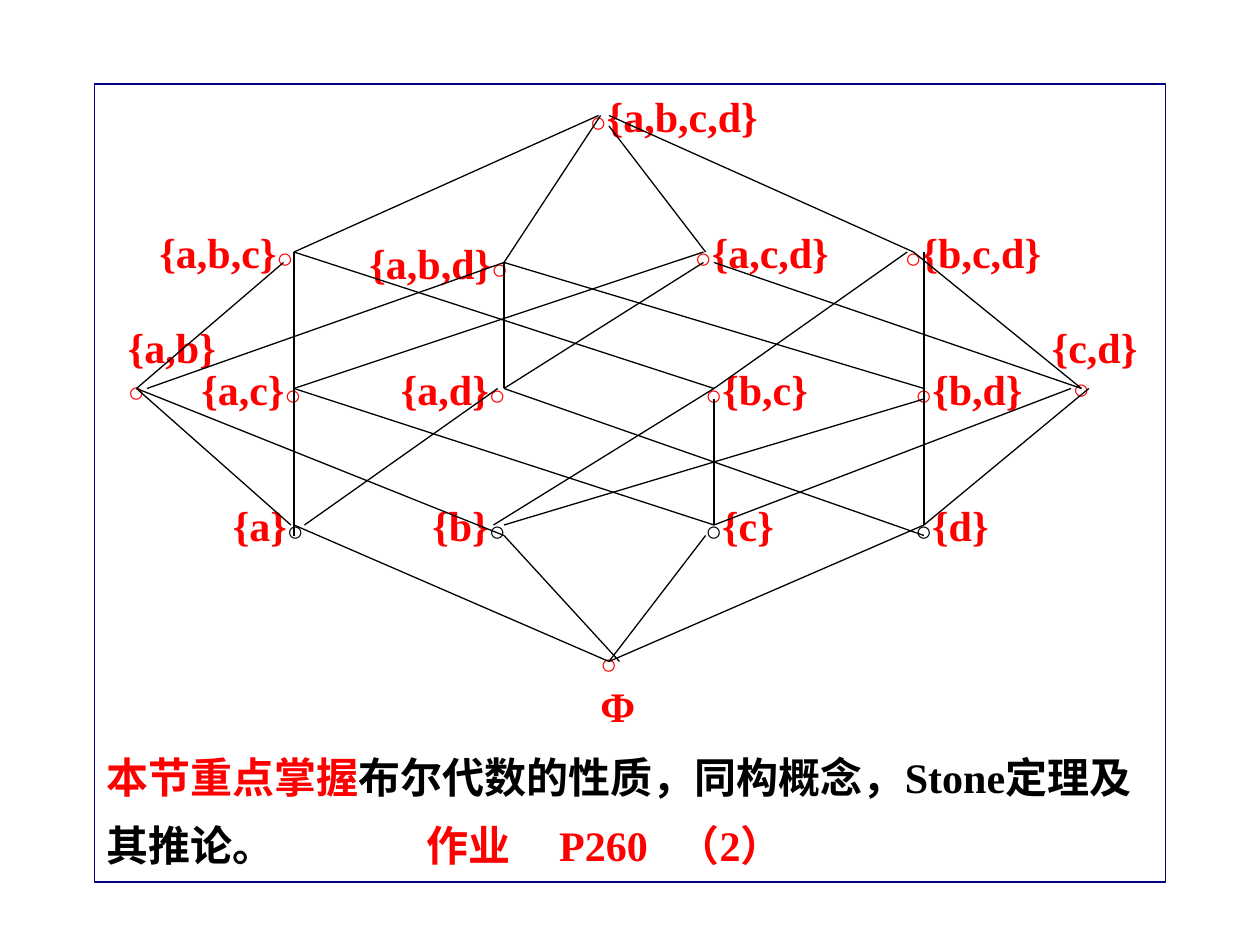
from dataclasses import dataclass

from lxml.etree import SubElement
from pptx import Presentation
from pptx.dml.color import RGBColor as RGB
from pptx.enum.shapes import MSO_CONNECTOR as Connector, MSO_SHAPE as Shape
from pptx.enum.text import MSO_ANCHOR as Anchor, MSO_AUTO_SIZE as AutoSize, PP_ALIGN as Align
from pptx.oxml.ns import qn
from pptx.util import Inches, Pt


@dataclass(frozen=True)
class Theme:
    red: RGB = RGB(255, 0, 0)
    black: RGB = RGB(0, 0, 0)
    navy: RGB = RGB(0, 0, 128)
    serif: str = "Times New Roman"
    sans: str = "Arial"
    text_size: int = 24
    ring_size: int = 16
    stroke: float = 0.75


THEME = Theme()
CELL = Inches(10) / 120
RING = "○"

BEFORE, AFTER = "ring before", "ring after"
SUBSETS = [
    ("{a,b,c,d}", 55, 8, 20.3, BEFORE, THEME.red),
    ("{a,b,c}", 14, 21, 16.7, AFTER, THEME.red),
    ("{a,b,d}", 34, 22, 16.7, AFTER, THEME.red),
    ("{a,c,d}", 65, 21, 16.7, BEFORE, THEME.red),
    ("{b,c,d}", 85, 21, 18, BEFORE, THEME.red),
    ("{a,c}", 18, 34, 17, AFTER, THEME.red),
    ("{a,d}", 37, 34, 23, AFTER, THEME.red),
    ("{b,c}", 66, 34, 15, BEFORE, THEME.red),
    ("{b,d}", 86, 34, 14.8, BEFORE, THEME.red),
    ("{a}", 21, 47, 12, AFTER, THEME.black),
    ("{b}", 40, 47, 11, AFTER, THEME.black),
    ("{c}", 66, 47, 11, BEFORE, THEME.black),
    ("{d}", 86, 47, 12, BEFORE, THEME.black),
    ("Φ", 56, 61, 6.5, BEFORE, THEME.red),
]
OUTER_PAIRS = [
    ("{a,b}", 11, 30, 13.8, 0, 0.5),
    ("{c,d}", 99, 30, 12, 2, 0.4),
]

TOP_TO_TRIPLES = [
    (57, 11, 28, 24), (57.2, 11, 48, 25), (58, 12, 67.2, 24), (58, 11, 87, 24),
]
TRIPLES_TO_PAIRS = [
    (27, 25, 13, 37), (28, 24, 68, 37),
    (48, 25, 14, 37), (48, 25, 48, 37), (48, 25, 88, 37),
    (67, 24, 28, 37), (67, 25, 48, 37), (68, 25, 103, 37),
    (86.4, 24, 68, 37), (87, 24, 103, 37),
]
THROUGH_PAIRS = [(28, 24, 28, 51), (88, 24, 88, 50)]
PAIRS_TO_SINGLES = [
    (13, 37, 27.7, 50), (13, 37, 48, 51), (28, 37, 68, 50),
    (47.4, 37, 29, 50), (48, 37, 88, 51),
    (68, 37, 47, 50), (68, 38, 68, 50), (88, 38, 48, 50),
    (102, 37, 68, 50), (103.7, 37, 88, 50),
]
SINGLES_TO_BOTTOM = [
    (28, 50, 58, 63), (48, 51, 59, 63), (67.2, 51, 58, 63), (88, 50, 58, 63),
]
EDGES = TOP_TO_TRIPLES + TRIPLES_TO_PAIRS + THROUGH_PAIRS + PAIRS_TO_SINGLES + SINGLES_TO_BOTTOM


def grid(*cells):
    return [round(cell * CELL) for cell in cells]


def apply(target, **values):
    for name, value in values.items():
        setattr(target, name, value)


def write(paragraph, text, color):
    run = paragraph.add_run()
    run.text = text
    is_ring = text == RING
    apply(
        run.font,
        name=THEME.sans if is_ring else THEME.serif,
        size=Pt(THEME.ring_size if is_ring else THEME.text_size),
        bold=True,
    )
    run.font.color.rgb = color


def add_label(slide, col, row, width, height=6):
    label = slide.shapes.add_textbox(*grid(col, row, width, height)).text_frame
    apply(label, word_wrap=True, auto_size=AutoSize.SHAPE_TO_FIT_TEXT)
    return label


def add_subset(slide, subset, col, row, width, ring_side, ring_color):
    paragraph = add_label(slide, col, row, width).paragraphs[0]
    parts = [(RING, ring_color), (subset, THEME.red)]
    for text, color in parts if ring_side == BEFORE else reversed(parts):
        write(paragraph, text, color)


def add_outer_pair(slide, subset, col, row, width, ring_indent, ring_spacing):
    label = add_label(slide, col, row, width, 9)
    write(label.paragraphs[0], subset, THEME.red)
    ring_line = label.add_paragraph()
    apply(ring_line, line_spacing=ring_spacing, space_before=Pt(10))
    ring_line._p.get_or_add_pPr().set("marL", str(*grid(ring_indent)))
    write(ring_line, RING, THEME.red)


def add_edge(slide, *ends):
    edge = slide.shapes.add_connector(Connector.STRAIGHT, *grid(*ends))
    edge.line.color.rgb = THEME.black
    edge.line.width = Pt(THEME.stroke)
    SubElement(edge._element.spPr, qn("a:effectLst"))


def add_tabs(paragraph, stops):
    tabs = SubElement(paragraph._p.get_or_add_pPr(), qn("a:tabLst"))
    for stop in stops:
        SubElement(tabs, qn("a:tab"), pos=str(Inches(stop)), algn="l")


def add_summary(slide):
    panel = slide.shapes.add_shape(Shape.RECTANGLE, *grid(9, 8, 102, 76))
    panel.shadow.inherit = False
    panel.fill.background()
    panel.line.color.rgb = THEME.navy
    panel.line.width = Pt(THEME.stroke)
    summary = panel.text_frame
    apply(
        summary,
        word_wrap=True,
        vertical_anchor=Anchor.BOTTOM,
        margin_left=Inches(0.1),
        margin_right=Inches(0.05),
        margin_bottom=Inches(0.1),
    )
    focus = summary.paragraphs[0]
    focus.alignment = Align.LEFT
    write(focus, "本节重点掌握", THEME.red)
    write(focus, "布尔代数的性质，同构概念，Stone定理及", THEME.black)
    homework = summary.add_paragraph()
    apply(homework, alignment=Align.LEFT, space_before=Pt(10))
    add_tabs(homework, (2.54, 3.59, 4.53))
    write(homework, "其推论。", THEME.black)
    write(homework, "\t作业\tP260\t（2）", THEME.red)


def main():
    deck = Presentation()
    apply(deck, slide_width=Inches(10), slide_height=Inches(7.5))
    slide = deck.slides.add_slide(deck.slide_layouts[6])
    add_summary(slide)
    for subset in SUBSETS:
        add_subset(slide, *subset)
    for pair in OUTER_PAIRS:
        add_outer_pair(slide, *pair)
    for edge in EDGES:
        add_edge(slide, *edge)
    deck.save("out.pptx")


if __name__ == "__main__":
    main()
